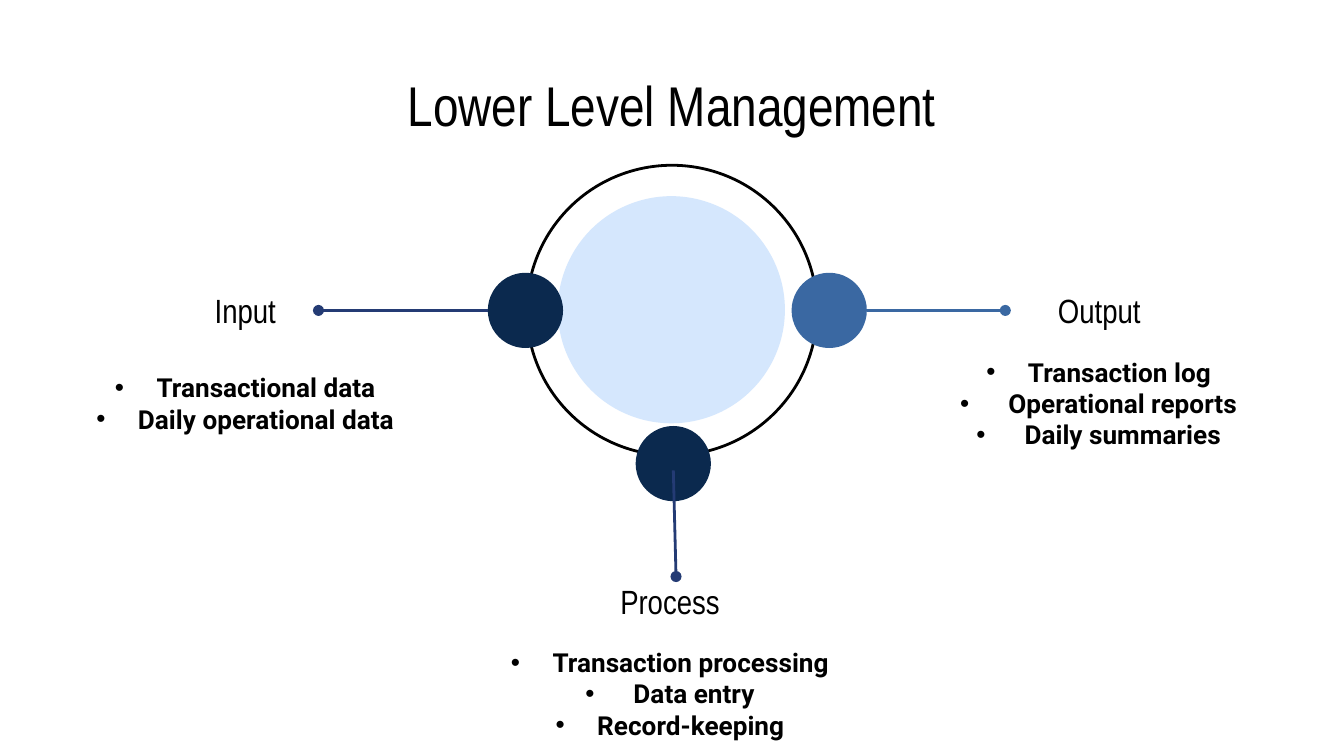
from dataclasses import dataclass

from lxml import etree
from pptx import Presentation
from pptx.dml.color import RGBColor
from pptx.enum.shapes import MSO_CONNECTOR, MSO_SHAPE
from pptx.enum.text import MSO_ANCHOR, PP_ALIGN
from pptx.oxml.ns import qn
from pptx.util import Pt

OVAL = MSO_SHAPE.OVAL
STRAIGHT = MSO_CONNECTOR.STRAIGHT
MIDDLE = MSO_ANCHOR.MIDDLE
CENTER = PP_ALIGN.CENTER
PX = 9144
WIDTH = 1000
BLANK = 6


@dataclass(frozen=True)
class Theme:
    ink: str = "000000"
    hub: str = "D5E7FD"
    navy: str = "0B294E"
    blue: str = "3A68A2"
    stem: str = "243B74"
    head: str = "Arial Narrow"
    body: str = "Roboto"
    title: int = 30
    label: int = 18
    item: int = 14
    line: float = 1.5
    pad: int = 10
    indent: int = 31
    node: int = 56


THEME = Theme()

BRANCHES = [
    dict(box=(51, 203, 368, 147), name="Input",
         label=(77, 15, 109, 25), list=(0, 47, 263, 100),
         node=(312, 0), stem=(312, 28, 186, 28),
         fill=THEME.navy, line=THEME.stem,
         items=["Transactional data", "Daily operational data"]),
    dict(box=(589, 203, 360, 147), name="Output",
         label=(159, 15, 140, 25), list=(97, 47, 263, 100),
         node=(0, 0), stem=(56, 28, 159, 28),
         fill=THEME.blue, line=THEME.blue,
         items=["Transaction log", " Operational reports", " Daily summaries"]),
    dict(box=(367, 317, 263, 249), name="Process",
         label=(77, 118, 109, 25), list=(0, 149, 263, 100),
         node=(106, 0), stem=(134, 33, 136, 112),
         fill=THEME.navy, line=THEME.stem,
         items=["Transaction processing", " Data entry", "Record-keeping"]),
]


def emu(*sizes):
    return [size * PX for size in sizes]


def shift(box, part):
    return (box[0] + part[0], box[1] + part[1], *part[2:])


def rgb(code):
    return RGBColor.from_string(code)


def add_text(slide, box, lines, size, font, bold=False):
    frame = slide.shapes.add_textbox(*emu(*box)).text_frame
    frame.word_wrap = True
    frame.vertical_anchor = MIDDLE
    frame.margin_left = frame.margin_right = THEME.pad * PX
    frame.margin_top = frame.margin_bottom = THEME.pad * PX
    frame.text = "\n".join(lines)
    for para in frame.paragraphs:
        para.alignment = CENTER
        for run in para.runs:
            run.font.size = Pt(size)
            run.font.name = font
            run.font.bold = bold
            run.font.color.rgb = rgb(THEME.ink)
    return frame


def add_bullets(frame):
    for para in frame.paragraphs:
        props = para._p.get_or_add_pPr()
        props.set("marL", str(THEME.indent * PX))
        props.set("indent", str(-THEME.indent * PX))
        color = etree.SubElement(props, qn("a:buClr"))
        etree.SubElement(color, qn("a:srgbClr"), val=THEME.ink)
        etree.SubElement(props, qn("a:buFont"), typeface="Arial")
        etree.SubElement(props, qn("a:buChar"), char="•")


def add_disc(slide, box, fill=None, line=None):
    disc = slide.shapes.add_shape(OVAL, *emu(*box))
    disc.shadow.inherit = False
    if fill:
        disc.fill.solid()
        disc.fill.fore_color.rgb = rgb(fill)
    else:
        disc.fill.background()
    if line:
        disc.line.color.rgb = rgb(line)
        disc.line.width = Pt(THEME.line)
    else:
        disc.line.fill.background()


def add_stem(slide, box, ends, color):
    start, end = shift(box, ends[:2]), shift(box, ends[2:])
    stem = slide.shapes.add_connector(STRAIGHT, *emu(*start, *end))
    stem.line.color.rgb = rgb(color)
    stem.line.width = Pt(THEME.line)
    etree.SubElement(stem.line._get_or_add_ln(), qn("a:tailEnd"), type="oval")
    etree.SubElement(stem._element.spPr, qn("a:effectLst"))


def add_title(slide, box):
    add_text(slide, box, ["Lower Level Management"], THEME.title, THEME.head)


def add_hub(slide, box):
    add_disc(slide, box, line=THEME.ink)
    add_disc(slide, shift(box, (23, 23, 169, 169)), fill=THEME.hub)


def add_branch(slide, box, branch):
    add_text(slide, shift(box, branch["label"]), [branch["name"]],
             THEME.label, THEME.head)
    frame = add_text(slide, shift(box, branch["list"]), branch["items"],
                     THEME.item, THEME.body, bold=True)
    add_bullets(frame)
    node = (*branch["node"], THEME.node, THEME.node)
    add_disc(slide, shift(box, node), fill=branch["fill"])
    add_stem(slide, box, branch["stem"], branch["line"])


def main():
    deck = Presentation()
    deck.slide_width = WIDTH * PX
    deck.slide_height = WIDTH * PX * 9 // 16
    slide = deck.slides.add_slide(deck.slide_layouts[BLANK])
    add_title(slide, (50, 60, 900, 35))
    add_hub(slide, (392, 123, 216, 216))
    for branch in BRANCHES:
        add_branch(slide, branch["box"], branch)
    deck.save("out.pptx")


if __name__ == "__main__":
    main()
